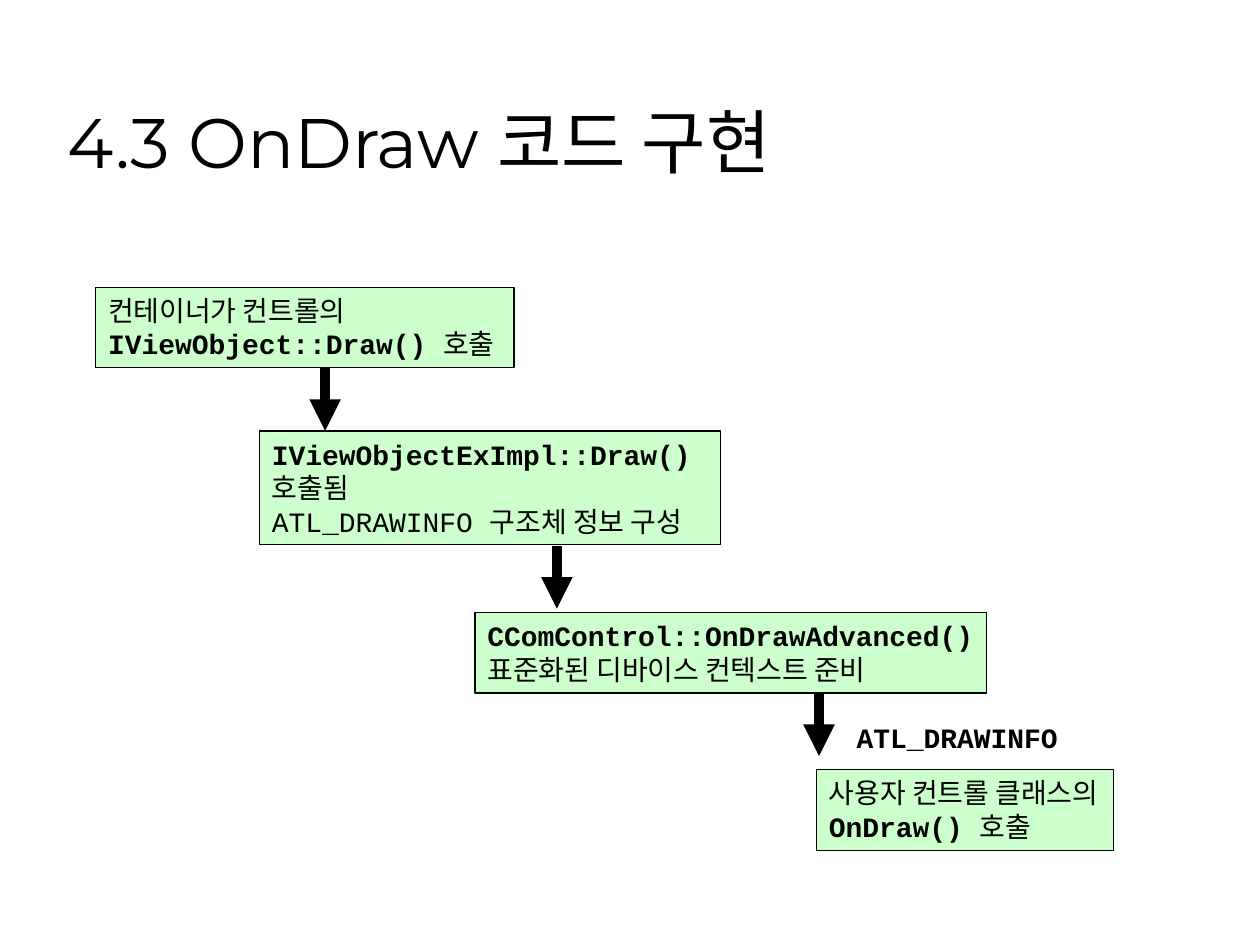
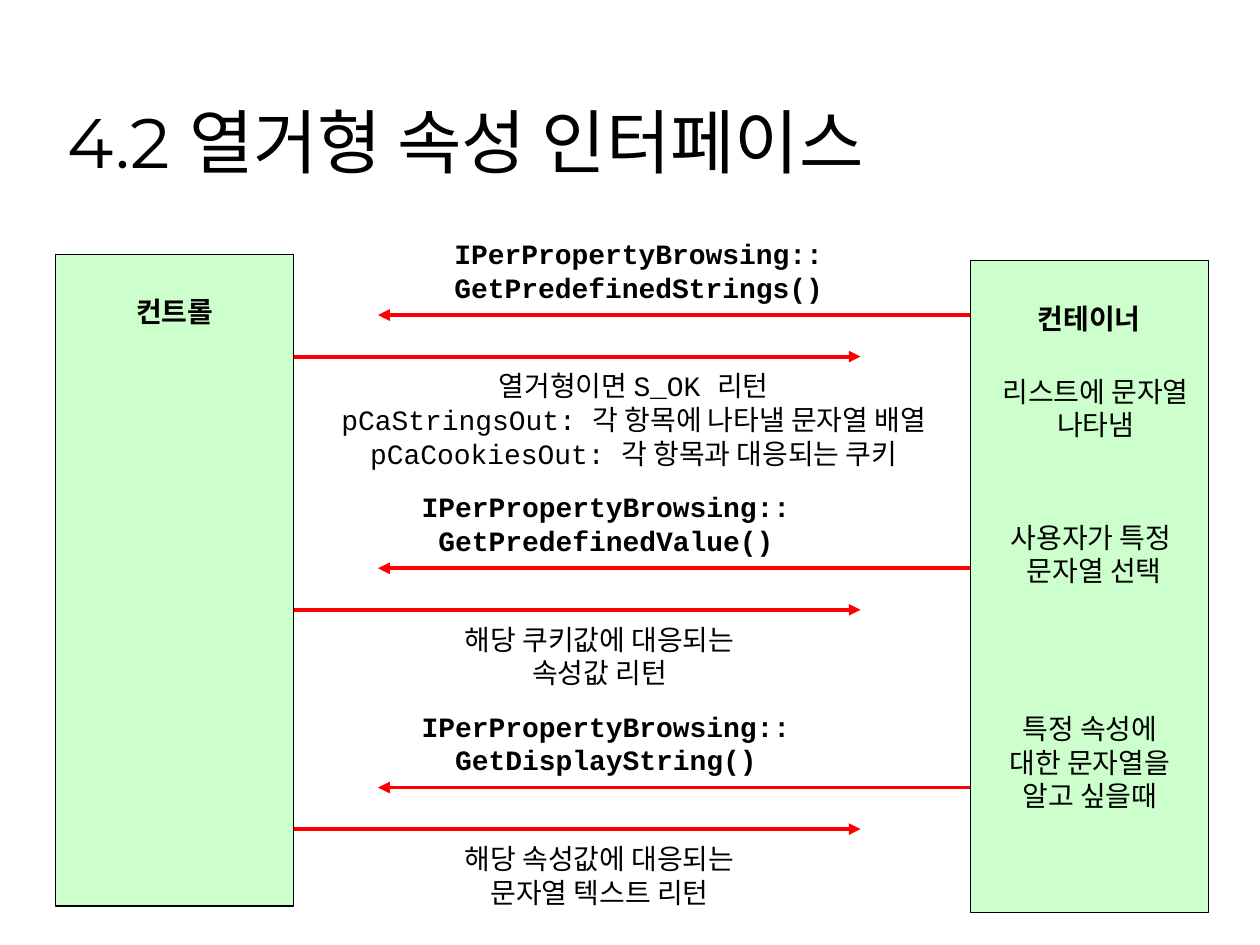
from lxml import etree
from pptx import Presentation
from pptx.dml.color import RGBColor
from pptx.enum.shapes import MSO_CONNECTOR, MSO_SHAPE
from pptx.enum.text import MSO_ANCHOR, MSO_AUTO_SIZE, PP_ALIGN
from pptx.oxml.ns import qn
from pptx.util import Pt

PX = 9144  # EMU per px, 100 px to the inch
BLACK = RGBColor(0x00, 0x00, 0x00)
RED = RGBColor(0xFF, 0x00, 0x00)
GREEN = RGBColor(0xCC, 0xFF, 0xCC)
CODE = "Courier New"
HEAD = "Montserrat"
LEFT, MID = PP_ALIGN.LEFT, PP_ALIGN.CENTER
TOP, BOTTOM = MSO_ANCHOR.TOP, MSO_ANCHOR.BOTTOM
GROW, FIXED = MSO_AUTO_SIZE.SHAPE_TO_FIT_TEXT, MSO_AUTO_SIZE.NONE
RECT = MSO_SHAPE.RECTANGLE
LINE = MSO_CONNECTOR.STRAIGHT


def px(*nums):
    return [n * PX for n in nums]


def bold(text):
    return text, True


def plain(text):
    return text, False


# Each line is a list of (text, bold) runs
def write(shape, lines, size=16, font=CODE, align=LEFT):
    frame = shape.text_frame
    for i, line in enumerate(lines):
        para = frame.paragraphs[0] if i == 0 else frame.add_paragraph()
        para.alignment = align
        for text, heavy in line:
            run = para.add_run()
            run.text = text
            run.font.name = font
            run.font.size = Pt(size)
            run.font.bold = heavy
            run.font.color.rgb = BLACK


def frame_up(shape, wrap=False, fit=GROW, anchor=TOP, top=5):
    frame = shape.text_frame
    frame.word_wrap = wrap
    frame.auto_size = fit
    frame.vertical_anchor = anchor
    frame.margin_left, frame.margin_top = px(10, top)
    frame.margin_right, frame.margin_bottom = px(10, 5)


def add_title(slide, text):
    box = slide.shapes.add_textbox(*px(44, 25, 914, 125))
    frame_up(box, wrap=True, fit=FIXED, anchor=BOTTOM)
    write(box, [[plain(text)]], size=40, font=HEAD)


def add_label(slide, place, lines, align=MID):
    box = slide.shapes.add_textbox(*px(*place))
    frame_up(box)
    write(box, lines, align=align)


def add_box(slide, place, lines, align=LEFT, **frame):
    box = slide.shapes.add_shape(RECT, *px(*place))
    box.shadow.inherit = False
    box.fill.solid()
    box.fill.fore_color.rgb = GREEN
    box.line.color.rgb = BLACK
    box.line.width = Pt(0.75)
    frame_up(box, **frame)
    write(box, lines, align=align)


def add_arrow(slide, start, end, color, width):
    arrow = slide.shapes.add_connector(LINE, *px(*start, *end))
    arrow.line.color.rgb = color
    arrow.line.width = Pt(width)
    etree.SubElement(arrow.line._get_or_add_ln(), qn("a:tailEnd"), type="triangle")
    etree.SubElement(arrow._element.spPr, qn("a:effectLst"))


# Slide 1: the chain of calls that leads to OnDraw
def draw_chain(slide):
    add_title(slide, "4.3 OnDraw 코드 구현")
    steps = [
        ((76, 228, 332, 64), [[plain("컨테이너가 컨트롤의")],
                              [bold("IViewObject::Draw() "), plain("호출")]]),
        ((206, 342, 366, 90), [[bold("IViewObjectExImpl::Draw()")],
                               [plain("호출됨")],
                               [plain("ATL_DRAWINFO 구조체 정보 구성")]]),
        ((377, 486, 406, 64), [[bold("CComControl::OnDrawAdvanced()")],
                               [plain("표준화된 디바이스 컨텍스트 준비")]]),
        ((648, 611, 236, 64), [[plain("사용자 컨트롤 클래스의")],
                               [bold("OnDraw() "), plain("호출")]]),
    ]
    for place, lines in steps:
        add_box(slide, place, lines)
    add_label(slide, (670, 567, 184, 37), [[bold("ATL_DRAWINFO")]], LEFT)
    for x, y in [(258, 292), (442, 433), (650, 550)]:
        add_arrow(slide, (x, y), (x, y + 50), BLACK, 6)


# Slide 2: calls and replies between control and container
def draw_talk(slide):
    add_title(slide, "4.2 열거형 속성 인터페이스")
    for x, y, name in [(44, 202, "컨트롤"), (770, 207, "컨테이너")]:
        add_box(slide, (x, y, 189, 517), [[bold(name)]], MID,
                wrap=True, fit=FIXED, top=32)

    # Each row: y, call left, method, reply place (left, width, height), reply
    rows = [
        (250, 348, "GetPredefinedStrings()", (256, 494, 90),
         ["열거형이면 S_OK 리턴",
          "pCaStringsOut: 각 항목에 나타낼 문자열 배열",
          "pCaCookiesOut: 각 항목과 대응되는 쿠키"]),
        (451, 322, "GetPredefinedValue()", (358, 236, 64),
         ["해당 쿠키값에 대응되는", "속성값 리턴"]),
        (625, 322, "GetDisplayString()", (358, 236, 64),
         ["해당 속성값에 대응되는", "문자열 텍스트 리턴"]),
    ]
    for y, left, method, (x, wide, high), reply in rows:
        add_arrow(slide, (770, y), (300, y), RED, 2.25)
        add_arrow(slide, (233, y + 33), (683, y + 33), RED, 2.25)
        add_label(slide, (left, y - 67, 318, 64),
                  [[bold("IPerPropertyBrowsing::")], [bold(method)]])
        add_label(slide, (x, y + 38, wide, high), [[plain(t)] for t in reply])

    # What the container does at each step
    notes = [
        ((785, 292, 169, 64), ["리스트에 문자열", "나타냄"]),
        ((791, 408, 155, 64), ["사용자가 특정 ", "문자열 선택"]),
        ((791, 560, 148, 90), ["특정 속성에", "대한 문자열을", "알고 싶을때"]),
    ]
    for place, lines in notes:
        add_label(slide, place, [[plain(t)] for t in lines])


def main():
    deck = Presentation()
    deck.slide_width, deck.slide_height = px(1000, 750)
    for draw in (draw_chain, draw_talk):
        draw(deck.slides.add_slide(deck.slide_layouts[6]))
    deck.save("out.pptx")


if __name__ == "__main__":
    main()
